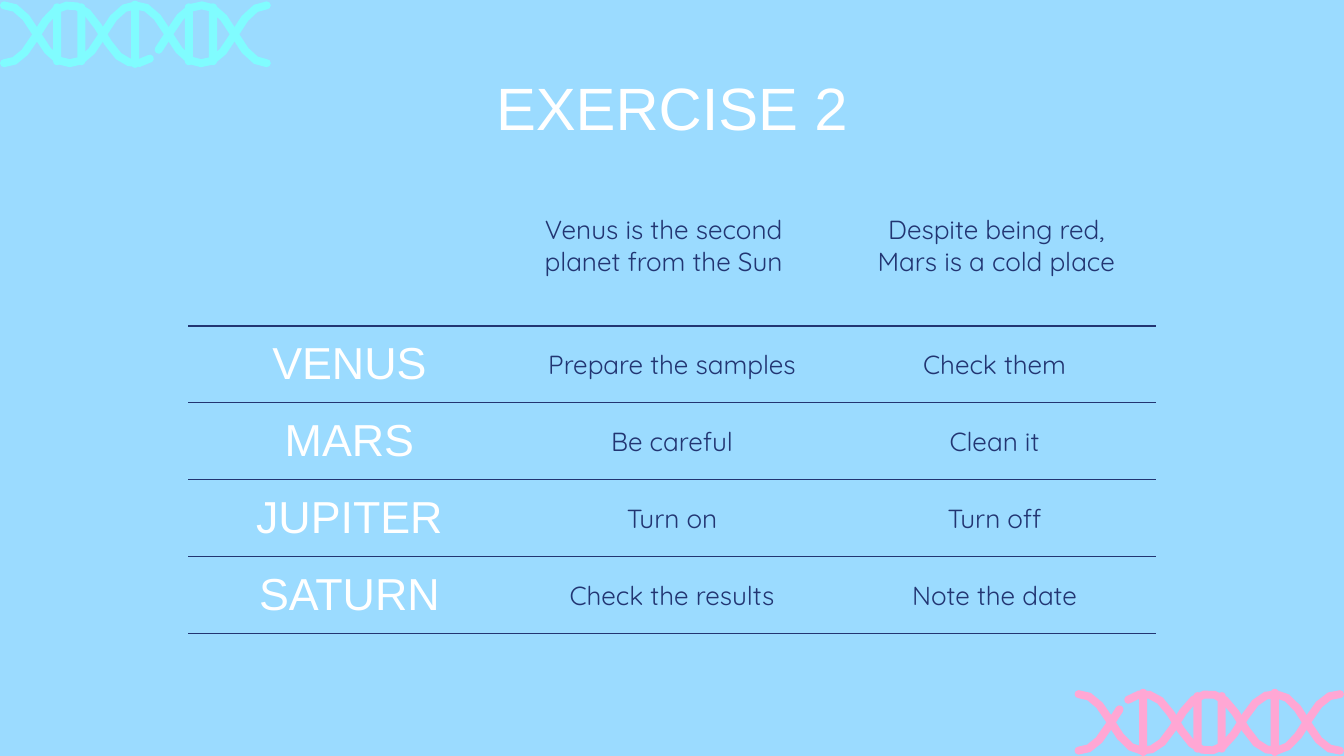
import math

import lxml.etree
import pptx
import pptx.dml.color
import pptx.enum.shapes
import pptx.enum.text
import pptx.oxml.ns
import pptx.util

THEME = {
    "background": "9BDBFF", "navy": "223572", "white": "FFFFFF",
    "aqua": "80FCFF", "pink": "FFA7D4",
    "title": {"name": "Arial", "size": 64, "color": "white"},
    "planet": {"name": "Arial", "size": 48, "color": "white"},
    "body": {"name": "Quicksand", "size": 28, "color": "navy"},
}
ROWS = [
    ("VENUS", "Prepare the samples", "Check them"),
    ("MARS", "Be careful", "Clean it"),
    ("JUPITER", "Turn on", "Turn off"),
    ("SATURN", "Check the results", "Note the date"),
]
# text, style, box in grid units, anchor, line spacing
TEXTS = [
    ("EXERCISE 2", "title", (1.59, 1.19, 16.82, 1), "MIDDLE", 0.8),
    ("Despite being red, Mars is a cold place", "body", (12.52, 2.98, 4.61, 1.3), "TOP", 1.0),
    ("Venus is the second planet from the Sun", "body", (7.57, 2.98, 4.61, 1.3), "TOP", 1.0),
]
# Strand spans are (first x, last x, side); rungs are (x, length)
HELICES = [
    {"color": "aqua", "left": 0.06, "half_turn": 0.98, "middle": 0.51, "reach": 0.43,
     "strands": [(0.06, 3.97, 1), (2.36, 3.97, -1), (0.06, 2.23, -1)],
     "rungs": [(0.85, 0.92), (1.21, 0.92), (2.01, 1), (2.81, 0.92), (3.17, 0.92)]},
    {"color": "pink", "left": 16.05, "half_turn": 0.97, "middle": 10.75, "reach": 0.42,
     "strands": [(16.05, 19.94, 1), (16.05, 16.66, -1), (16.79, 19.94, -1)],
     "rungs": [(17.01, 1), (17.82, 0.9), (18.18, 0.9), (18.97, 1)]},
]
STROKE = 0.12
STEPS = 6  # outline steps per half turn
FINE = 1000  # outline points per grid unit

prs = pptx.Presentation()
prs.slide_width = pptx.util.Inches(20)
prs.slide_height = pptx.util.Inches(11.25)
UNIT = prs.slide_width // 20  # square grid: 20 columns by 11.25 rows
INSET = int(0.2 * UNIT)
s = prs.slides.add_slide(prs.slide_layouts[6])
s.background.fill.solid()
s.background.fill.fore_color.rgb = pptx.dml.color.RGBColor.from_string(THEME["background"])


def write(tf, text, style, line_spacing=1.0):
    p = tf.paragraphs[0]
    p.alignment = pptx.enum.text.PP_ALIGN.CENTER
    p.line_spacing = line_spacing
    r = p.add_run()
    r.text = text
    r.font.name = THEME[style]["name"]
    r.font.size = pptx.util.Pt(THEME[style]["size"])
    r.font.color.rgb = pptx.dml.color.RGBColor.from_string(THEME[THEME[style]["color"]])


def strand_outline(helix, first, last, side):
    """Return the outline of a round-ended band that follows one wave."""
    turn = math.pi / helix["half_turn"]
    steps = math.ceil((last - first) / helix["half_turn"] * STEPS)
    upper, lower, ends = [], [], []
    for i in range(steps + 1):
        x = first + (last - first) * i / steps
        a = (x - helix["left"]) * turn
        # A little third harmonic flattens the crests
        y = helix["middle"] - side * helix["reach"] * (1.05 * math.cos(a) - 0.05 * math.cos(3 * a))
        slope = side * helix["reach"] * turn * (1.05 * math.sin(a) - 0.15 * math.sin(3 * a))
        angle = math.atan(slope)
        dx, dy = STROKE / 2 * math.sin(angle), STROKE / 2 * math.cos(angle)
        upper.append((x + dx, y - dy))
        lower.append((x - dx, y + dy))
        ends.append((x, y, angle))
    caps = []
    for (x, y, angle), start in ((ends[-1], -90), (ends[0], 90)):
        turns = [angle + math.radians(start + d) for d in (45, 90, 135)]
        caps.append([(x + STROKE / 2 * math.cos(t), y + STROKE / 2 * math.sin(t)) for t in turns])
    return upper + caps[0] + lower[::-1] + caps[1]


for helix in HELICES:
    parts = []
    for span in helix["strands"]:
        points = [(x * FINE, y * FINE) for x, y in strand_outline(helix, *span)]
        outline = s.shapes.build_freeform(*points[0], scale=UNIT / FINE)
        outline.add_line_segments(points[1:], close=True)
        parts.append(outline.convert_to_shape())
    for x, length in helix["rungs"]:
        box = (x - STROKE / 2, helix["middle"] - length / 2, STROKE, length)
        sp = s.shapes.add_shape(pptx.enum.shapes.MSO_SHAPE.ROUNDED_RECTANGLE,
                                *(int(v * UNIT) for v in box))
        sp.adjustments[0] = 0.5
        parts.append(sp)
    for sp in parts:
        sp.shadow.inherit = False
        sp.fill.solid()
        sp.fill.fore_color.rgb = pptx.dml.color.RGBColor.from_string(THEME[helix["color"]])
        sp.line.fill.background()

table = s.shapes.add_table(5, 3, *(int(v * UNIT) for v in (2.8, 3.83, 14.4, 5.6))).table
table.first_row = table.horz_banding = False
style_id = table._tbl.tblPr.find(pptx.oxml.ns.qn("a:tableStyleId"))
style_id.text = "{2D5ABB26-0587-4C30-8999-92F81FD0307C}"  # no style, no grid
for col in table.columns:
    col.width = int(4.8 * UNIT)
for i, row in enumerate(table.rows):
    row.height = int((1.145 if i else 1.02) * UNIT)
    for j, cell in enumerate(row.cells):
        cell.fill.background()
        for name in ("left", "right", "top", "bottom"):
            setattr(cell, "margin_" + name, INSET)
        cell.vertical_anchor = pptx.enum.text.MSO_ANCHOR.MIDDLE
        if i:
            write(cell.text_frame, ROWS[i - 1][j], "body" if j else "planet")
        tcPr = cell._tc.get_or_add_tcPr()
        for k, edge in enumerate(("lnT", "lnB") if i else ("lnB",)):
            ln = lxml.etree.Element(pptx.oxml.ns.qn("a:" + edge), w=str(int(pptx.util.Pt(1.5))))
            fill = lxml.etree.SubElement(ln, pptx.oxml.ns.qn("a:solidFill"))
            lxml.etree.SubElement(fill, pptx.oxml.ns.qn("a:srgbClr"), val=THEME["navy"])
            tcPr.insert(k, ln)

for text, style, box, anchor, spacing in TEXTS:
    tf = s.shapes.add_textbox(*(int(v * UNIT) for v in box)).text_frame
    frame = {"word_wrap": True, "vertical_anchor": pptx.enum.text.MSO_ANCHOR[anchor],
             "margin_left": INSET, "margin_right": INSET,
             "margin_top": INSET, "margin_bottom": INSET}
    for name, value in frame.items():
        setattr(tf, name, value)
    write(tf, text, style, spacing)

prs.save("out.pptx")
